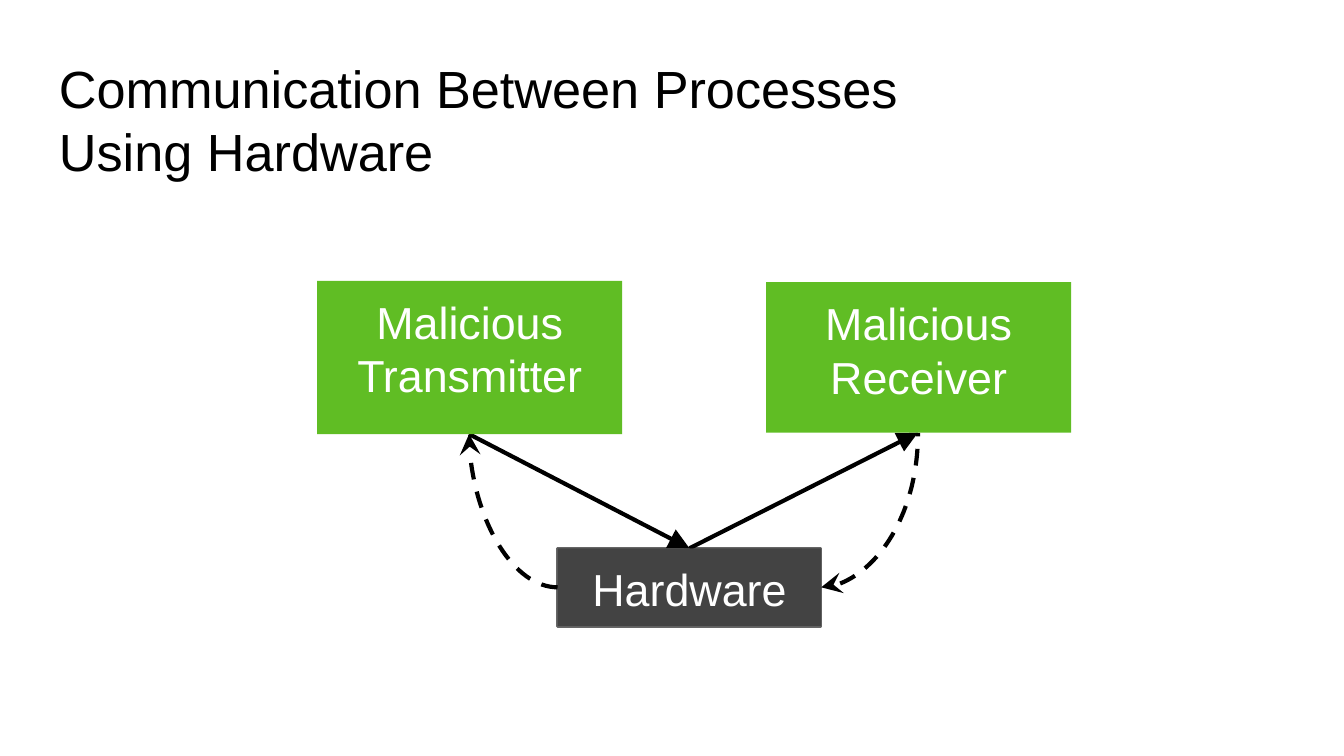
"""Build the slide on communication between processes using hardware."""
from dataclasses import dataclass
from typing import Optional

from lxml import etree
from pptx import Presentation
from pptx import util as u
from pptx.dml.color import RGBColor
from pptx.enum import dml, shapes, text
from pptx.oxml import ns

PIXEL = u.Inches(1) // 100
BLACK, WHITE, GREEN, DARK, GREY = "000000", "FFFFFF", "60BD24", "434343", "666666"


@dataclass(frozen=True)
class Box:
    left: int
    top: int
    width: int
    height: int
    fill: str
    label: str = ""
    outline: Optional[str] = None

    @property
    def top_middle(self) -> tuple[int, int]:
        return self.left + self.width // 2, self.top

    @property
    def bottom_middle(self) -> tuple[int, int]:
        return self.left + self.width // 2, self.top + self.height

    @property
    def left_middle(self) -> tuple[int, int]:
        return self.left, self.top + self.height // 2

    @property
    def right_middle(self) -> tuple[int, int]:
        return self.left + self.width, self.top + self.height // 2


@dataclass(frozen=True)
class Arrow:
    start: tuple[int, int]
    end: tuple[int, int]
    curved: bool = False
    arrow_end: str = "tailEnd"


def px(value: int) -> int:
    return value * PIXEL


def color(value: str) -> RGBColor:
    return RGBColor.from_string(value)


def write(frame, lines: list[str], size: int, fill: str, alignment) -> None:
    frame.word_wrap = True
    frame.vertical_anchor = text.MSO_ANCHOR.TOP
    frame.margin_left = frame.margin_right = px(10)
    frame.margin_top = frame.margin_bottom = px(10)
    paragraph = frame.paragraphs[0]
    paragraph.alignment = alignment
    for index, line in enumerate(lines):
        if index:
            paragraph.add_line_break()
        run = paragraph.add_run()
        run.text = line
        run.font.name = "Arial"
        run.font.size = u.Pt(size)
        run.font.color.rgb = color(fill)


def draw_box(slide, box: Box) -> None:
    shape = slide.shapes.add_shape(
        shapes.MSO_SHAPE.RECTANGLE, px(box.left), px(box.top), px(box.width), px(box.height))
    shape.shadow.inherit = False
    shape.fill.solid()
    shape.fill.fore_color.rgb = color(box.fill)
    if box.outline:
        shape.line.color.rgb = color(box.outline)
        shape.line.width = u.Pt(1.5)
    else:
        shape.line.fill.background()
    if box.label:
        write(shape.text_frame, [box.label], 24, WHITE, text.PP_ALIGN.CENTER)


def draw_arrow(slide, arrow: Arrow) -> None:
    begin, end = (arrow.end, arrow.start) if arrow.curved else (arrow.start, arrow.end)
    kind = shapes.MSO_CONNECTOR.CURVE if arrow.curved else shapes.MSO_CONNECTOR.STRAIGHT
    connector = slide.shapes.add_connector(kind, *map(px, begin + end))
    connector.line.color.rgb = color(BLACK)
    connector.line.width = u.Pt(2.25)
    properties = connector._element.spPr
    if arrow.curved:
        connector.line.dash_style = dml.MSO_LINE.DASH
        properties.find(ns.qn("a:prstGeom")).set("prst", "curvedConnector2")
        properties.find(ns.qn("a:xfrm")).set("rot", "10800000")
    tip = etree.SubElement(properties.find(ns.qn("a:ln")), ns.qn(f"a:{arrow.arrow_end}"))
    tip.set("type", "stealth" if arrow.curved else "triangle")
    tip.set("w", "lg")
    tip.set("len", "lg")
    etree.SubElement(properties, ns.qn("a:effectLst"))


def main() -> None:
    presentation = Presentation()
    presentation.slide_width = px(1000)
    presentation.slide_height = px(1000) * 9 // 16
    slide = presentation.slides.add_slide(presentation.slide_layouts[6])

    frame = Box(415, 408, 196, 58, GREEN, outline=GREY)
    hardware = Box(415, 408, 196, 58, DARK, "Hardware")
    transmitter = Box(236, 209, 227, 114, GREEN, "Malicious Transmitter")
    receiver = Box(570, 210, 227, 112, GREEN, "Malicious Receiver")

    draw_box(slide, frame)
    title = slide.shapes.add_textbox(px(34), px(32), px(956), px(63))
    write(title.text_frame, ["Communication Between Processes", "Using Hardware"],
          28, BLACK, text.PP_ALIGN.LEFT)
    for arrow in (
        Arrow(transmitter.bottom_middle, hardware.top_middle),
        Arrow(hardware.top_middle, receiver.bottom_middle),
        Arrow(hardware.left_middle, transmitter.bottom_middle, curved=True),
        Arrow(hardware.right_middle, receiver.bottom_middle, curved=True, arrow_end="headEnd"),
    ):
        draw_arrow(slide, arrow)
    for box in (hardware, transmitter, receiver):
        draw_box(slide, box)

    presentation.save("out.pptx")


if __name__ == "__main__":
    main()
